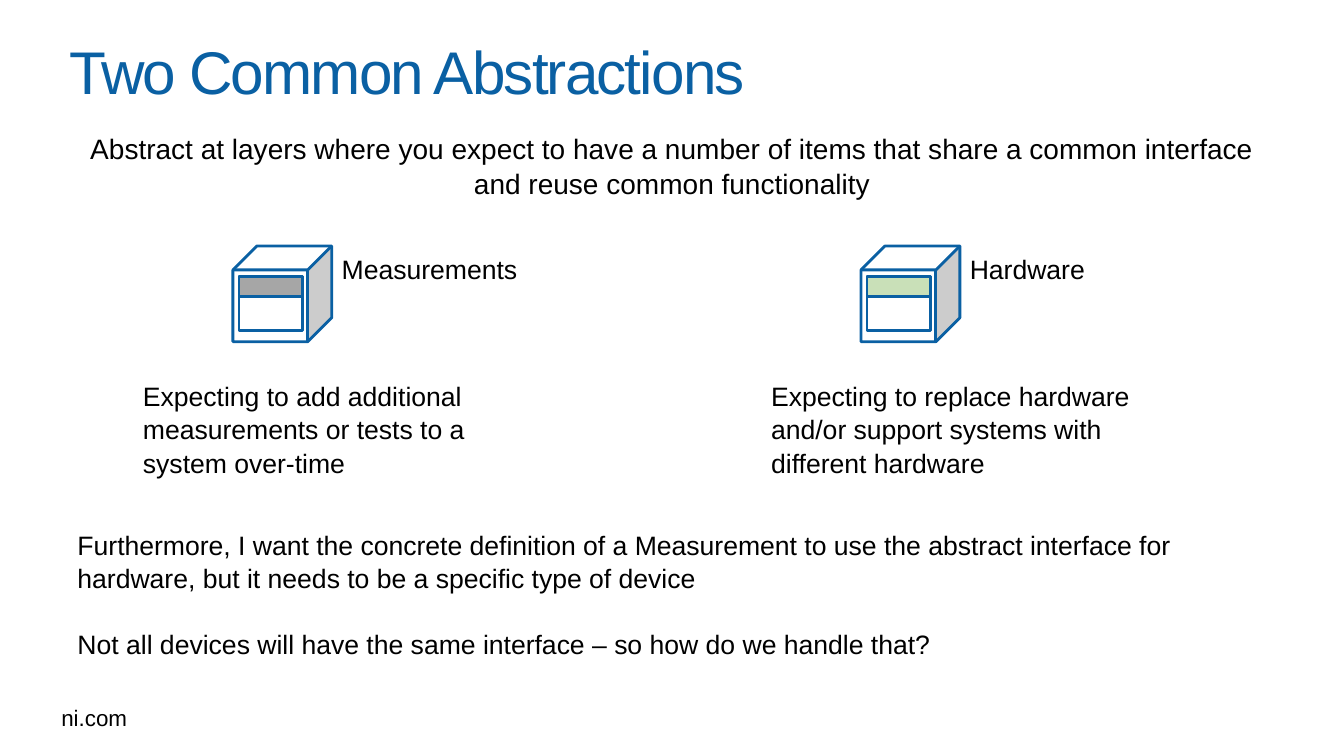
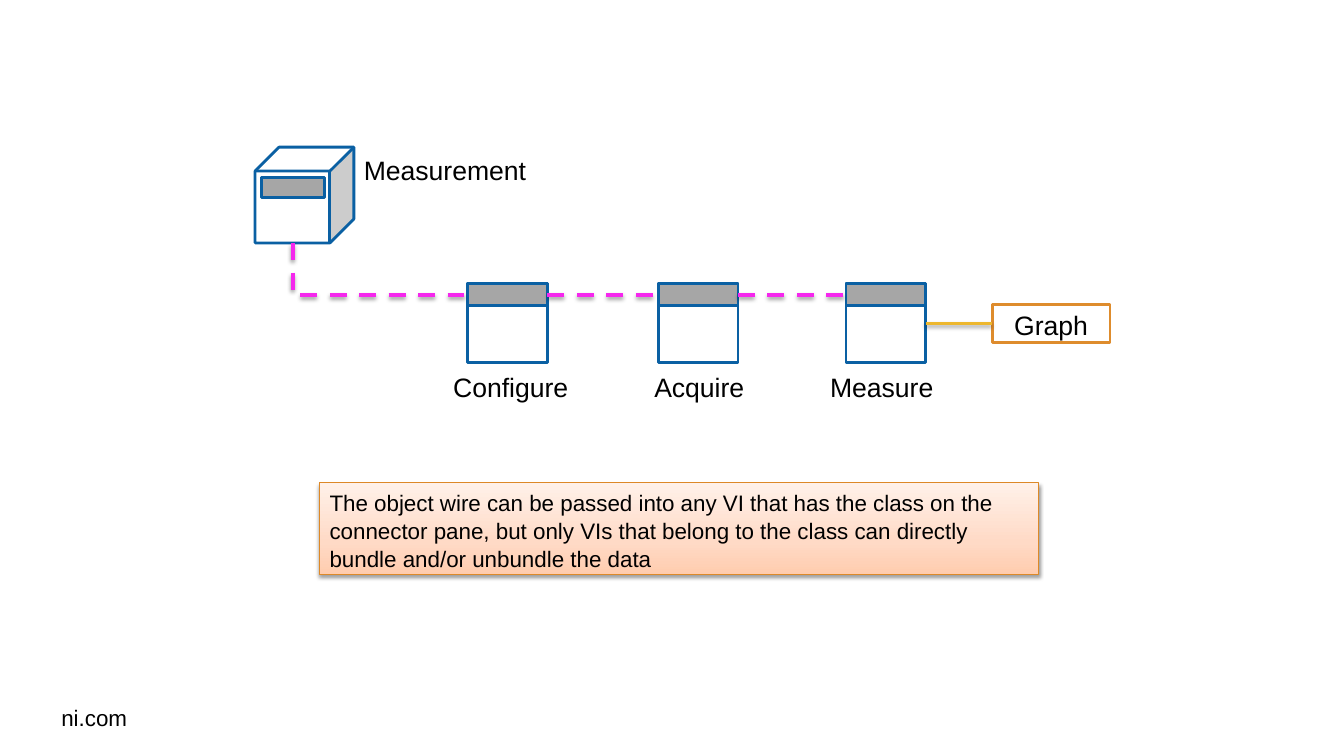
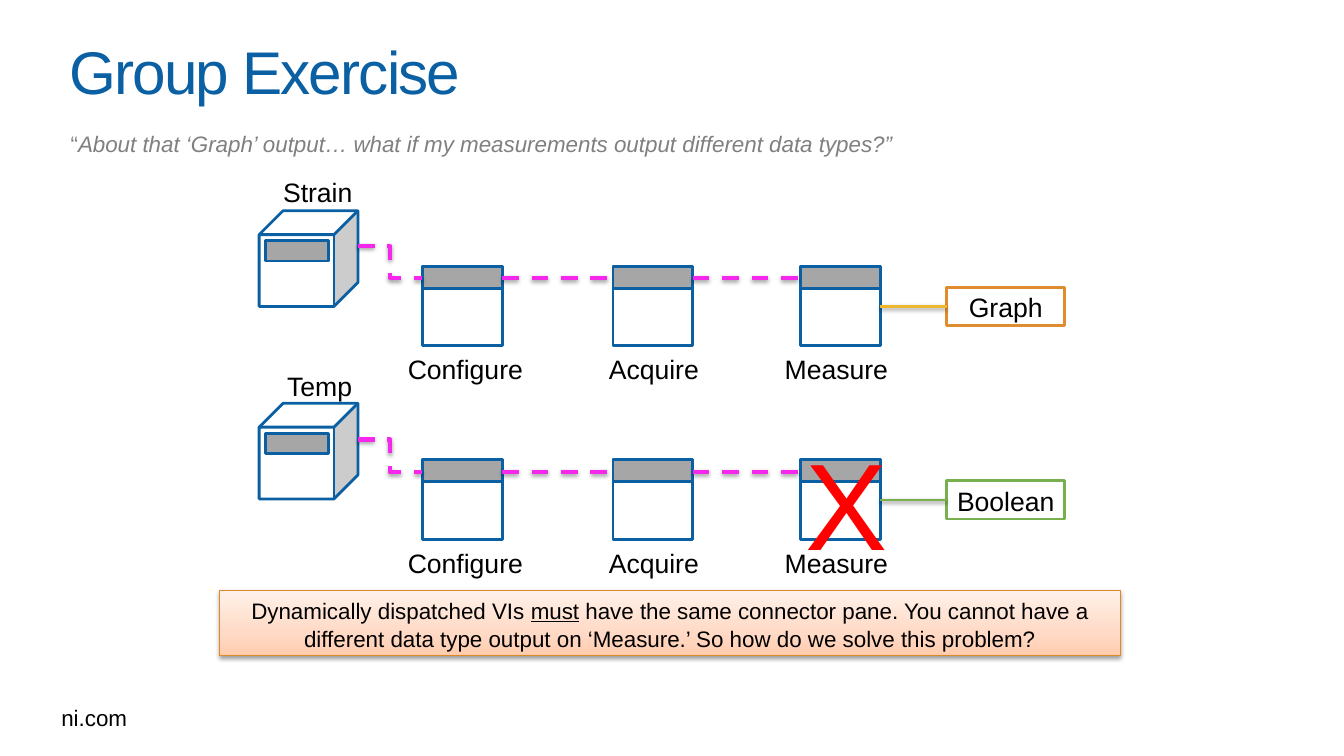
from copy import deepcopy

from pptx import Presentation
from pptx.dml.color import RGBColor
from pptx.enum.dml import MSO_LINE
from pptx.enum.shapes import MSO_CONNECTOR, MSO_SHAPE
from pptx.enum.text import MSO_ANCHOR, PP_ALIGN
from pptx.oxml import parse_xml
from pptx.oxml.ns import nsdecls, qn
from pptx.util import Emu, Pt

# Shared style: 100 px to the inch
PX = 9144
FONT = "Arial"
LINE_SPACING = 1.05
BLACK, WHITE, GREY, RED = "000000", "FFFFFF", "808080", "FF0000"
BLUE, HEADER, LIGHT_GREEN = "0A60A3", "A6A6A6", "C9E0B8"
PINK, ORANGE, YELLOW, GREEN = "F527ED", "DE8C2D", "EDB72E", "79B04E"
NOTE_LINE = "DD8928"
LEFT, CENTER = PP_ALIGN.LEFT, PP_ALIGN.CENTER

SHADOW = parse_xml(
    f'<a:outerShdw {nsdecls("a")} blurRad="39370" dist="20320" dir="5400000" rotWithShape="0">'
    '<a:srgbClr val="000000"><a:alpha val="38000"/></a:srgbClr></a:outerShdw>')
NOTE_FILL = parse_xml(
    f'<a:gradFill {nsdecls("a")} rotWithShape="1"><a:gsLst>'
    '<a:gs pos="0"><a:srgbClr val="FFCCAE"/></a:gs>'
    '<a:gs pos="35000"><a:srgbClr val="FFDAC6"/></a:gs>'
    '<a:gs pos="100000"><a:srgbClr val="FFF1E9"/></a:gs>'
    '</a:gsLst><a:lin ang="16200000" scaled="0"/></a:gradFill>')


def add_box(slide, area, text="", kind=None, fill=None, line=None, line_width=2,
            size=19, color=BLACK, align=LEFT, anchor=MSO_ANCHOR.TOP):
    """Add a preset shape or, without a kind, a text box; "|" parts runs."""
    area = [Emu(value * PX) for value in area]
    if kind is None:
        shape = slide.shapes.add_textbox(*area)
    else:
        shape = slide.shapes.add_shape(kind, *area)
        shape.shadow.inherit = False
        if fill:
            shape.fill.solid()
            shape.fill.fore_color.rgb = RGBColor.from_string(fill)
        else:
            shape.fill.background()
        shape.line.color.rgb = RGBColor.from_string(line)
        shape.line.width = Pt(line_width)
    if text:
        frame = shape.text_frame
        frame.word_wrap = True
        frame.vertical_anchor = anchor
        for index, content in enumerate(text.split("\n")):
            paragraph = frame.add_paragraph() if index else frame.paragraphs[0]
            paragraph.alignment = align
            paragraph.line_spacing = LINE_SPACING
            for part in content.split("|"):
                run = paragraph.add_run()
                run.text = part
                run.font.name = FONT
                run.font.size = Pt(size)
                run.font.color.rgb = RGBColor.from_string(color)
    return shape


def add_wire(slide, kind, start, end, color, width=2, dash=None):
    """Add a connector with the soft shadow of all wires."""
    wire = slide.shapes.add_connector(kind, *[Emu(value * PX) for value in (*start, *end)])
    wire.line.color.rgb = RGBColor.from_string(color)
    wire.line.width = Pt(width)
    wire.line.dash_style = dash
    effects = parse_xml(f'<a:effectLst {nsdecls("a")}/>')
    effects.append(deepcopy(SHADOW))
    wire.element.spPr.append(effects)
    return wire


presentation = Presentation()
presentation.slide_width = Emu(1333 * PX)
presentation.slide_height = Emu(750 * PX)

# Slides with their titles and footers
slides = []
for title in ("Two Common Abstractions", None, "Group Exercise"):
    slide = presentation.slides.add_slide(presentation.slide_layouts[6])
    slides.append(slide)
    add_box(slide, (51, 692, 100, 37), "ni.com", size=16)
    if title:
        shape = add_box(slide, (69, 16, 1197, 105), title, size=43, color=BLUE,
                        anchor=MSO_ANCHOR.MIDDLE)
        shape.text_frame.margin_left = 0
        run = shape.text_frame.paragraphs[0].runs[0]
        run._r.get_or_add_rPr().set("spc", "-130")
abstractions, measurement, exercise = slides

# Class cubes: slide, left, top, header fill, has a window, name, name area
cubes = [
    (abstractions, 231, 244, HEADER, True, "Measurements", (329, 244, 231, 42)),
    (abstractions, 854, 244, LIGHT_GREEN, True, "Hardware", (952, 244, 192, 42)),
    (measurement, 253, 146, HEADER, False, "Measurement", (351, 146, 192, 42)),
    (exercise, 257, 209, HEADER, False, "Strain", (271, 168, 100, 42)),
    (exercise, 257, 400, HEADER, False, "Temp", (275, 360, 100, 42)),
]
for slide, left, top, header, has_window, name, name_area in cubes:
    add_box(slide, (left, top, 98, 95), kind=MSO_SHAPE.CUBE, fill=WHITE, line=BLUE)
    if has_window:
        add_box(slide, (left + 6, top + 30, 63, 54), kind=MSO_SHAPE.RECTANGLE, line=BLUE)
    add_box(slide, (left + 6, top + 30, 63, 20), kind=MSO_SHAPE.RECTANGLE,
            fill=header, line=BLUE)
    add_box(slide, name_area, name)

# Slide 1: explanations
add_box(abstractions, (67, 124, 1199, 77),
        "Abstract at layers where you expect to have a number of items that share "
        "a common interface and reuse common functionality", size=20, align=CENTER)
add_box(abstractions, (132, 370, 394, 106),
        "Expecting to add additional measurements or tests to a system over-time")
add_box(abstractions, (755, 370, 394, 106),
        "Expecting to replace hardware and/or support systems with different hardware")
shape = add_box(abstractions, (67, 518, 1200, 138),
                "Furthermore, I want the concrete definition of a Measurement to use the "
                "abstract interface for hardware, but it needs to be a specific type of device\n"
                "Not all devices will have the same interface – so how do we handle that?")
shape.text_frame.paragraphs[1].space_before = Pt(23)

# Method chains: slide, left, top, output, output line, output wire
chains = [
    (measurement, 464, 281, "Graph", ORANGE, YELLOW),
    (exercise, 419, 264, "Graph", ORANGE, YELLOW),
    (exercise, 419, 456, "Boolean", GREEN, GREEN),
]
# Methods: name, offset in the chain, shift of the label
methods = [("Configure", 0, 3), ("Acquire", 189, 1), ("Measure", 375, -4)]
NODE = 79
for slide, left, top, output, output_line, output_wire in chains:
    for name, offset, shift in methods:
        node = left + offset
        add_box(slide, (node, top, NODE, NODE), kind=MSO_SHAPE.RECTANGLE,
                fill=WHITE, line=BLUE)
        add_box(slide, (node, top, NODE, 22), kind=MSO_SHAPE.RECTANGLE,
                fill=HEADER, line=BLUE)
        add_box(slide, (node - 30 + shift, top + 80, NODE + 60, 42), name, align=CENTER)
    for (_, before, _), (_, after, _) in zip(methods, methods[1:]):
        add_wire(slide, MSO_CONNECTOR.STRAIGHT, (left + before + NODE, top + 12),
                 (left + after, top + 12), PINK, 3, MSO_LINE.DASH)
    add_box(slide, (left + 520, top + 21, 117, 38), output, MSO_SHAPE.RECTANGLE,
            WHITE, output_line, align=CENTER, anchor=MSO_ANCHOR.MIDDLE)
    add_wire(slide, MSO_CONNECTOR.STRAIGHT, (left + 454, top + 40),
             (left + 520, top + 40), output_wire)
    if slide is exercise:
        add_wire(slide, MSO_CONNECTOR.ELBOW, (355, top - 20), (left, top + 12),
                 PINK, 3, MSO_LINE.DASH)

# Slide 2: wire that leaves the cube downwards, as a turned one-bend connector
wire = add_wire(measurement, MSO_CONNECTOR.ELBOW, (352, 180), (403, 354),
                PINK, 3, MSO_LINE.DASH)
wire.element.spPr.find(qn("a:prstGeom")).set("prst", "bentConnector2")
transform = wire.element.spPr.find(qn("a:xfrm"))
transform.set("rot", "16200000")
transform.set("flipH", "1")

# Slide 3: question and rejected method
shape = add_box(exercise, (70, 123, 1191, 40),
                "“|About that ‘Graph’ output… what if my measurements output "
                "different data types?”", size=16, color=GREY)
shape.text_frame.margin_left = 0
shape.text_frame.paragraphs[0].runs[1].font.italic = True
add_box(exercise, (789, 412, 110, 158), "X", size=88, color=RED)

# Notes
notes = [
    (measurement, (317, 479, 713, 91), LEFT,
     "The object wire can be passed into any VI that has the class on the connector pane, "
     "but only VIs that belong to the class can directly bundle and/or unbundle the data"),
    (exercise, (218, 586, 893, 64), CENTER,
     "Dynamically dispatched VIs |must| have the same connector pane. You cannot have a "
     "different data type output on ‘Measure.’ So how do we solve this problem?"),
]
for slide, area, align, text in notes:
    shape = add_box(slide, area, text, MSO_SHAPE.RECTANGLE, line=NOTE_LINE,
                    line_width=0.75, size=16, align=align)
    properties = shape.element.spPr
    properties.replace(properties.find(qn("a:noFill")), deepcopy(NOTE_FILL))
    properties.find(qn("a:effectLst")).append(deepcopy(SHADOW))
    for run in shape.text_frame.paragraphs[0].runs[1:2]:
        run.font.underline = True

presentation.save("out.pptx")
